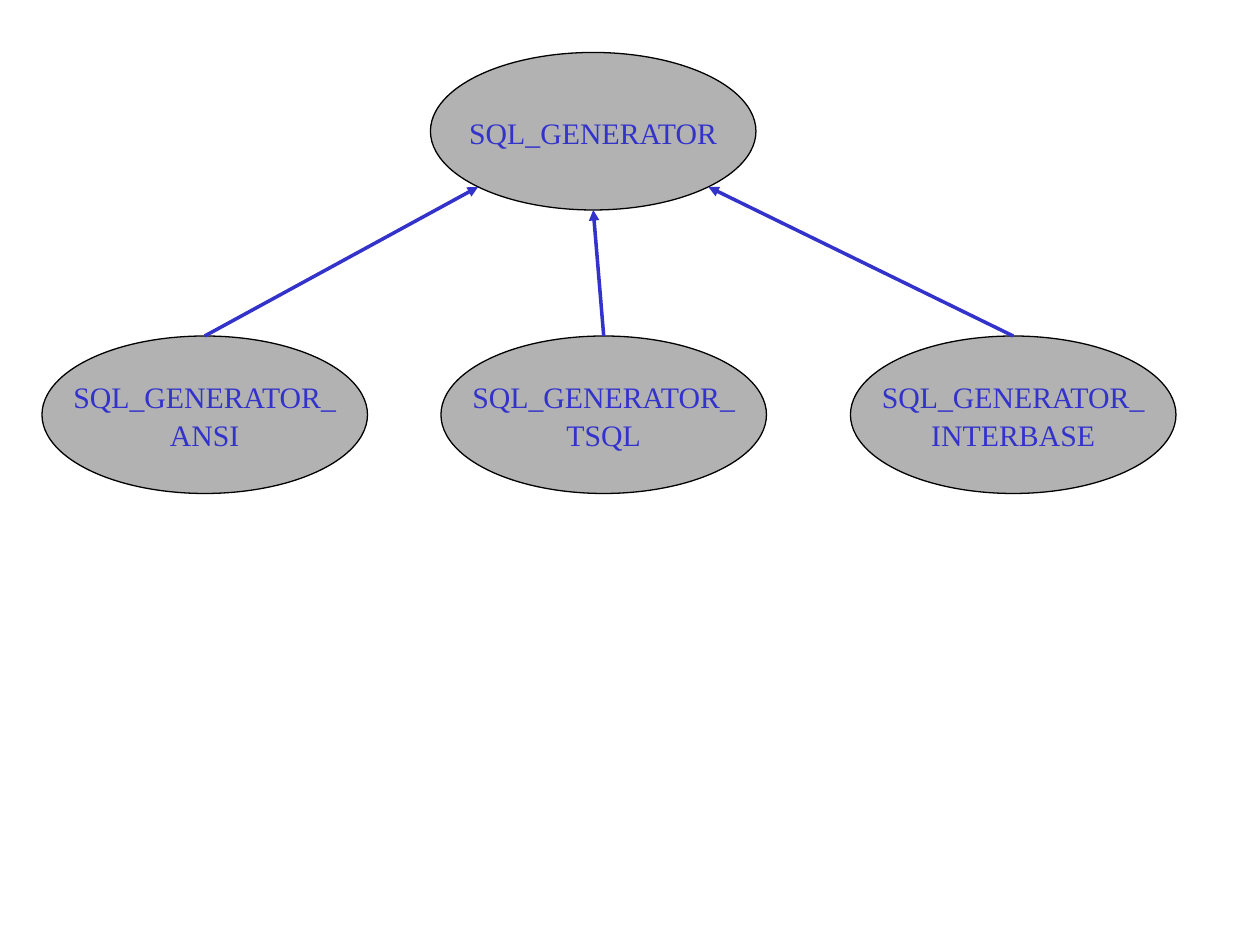
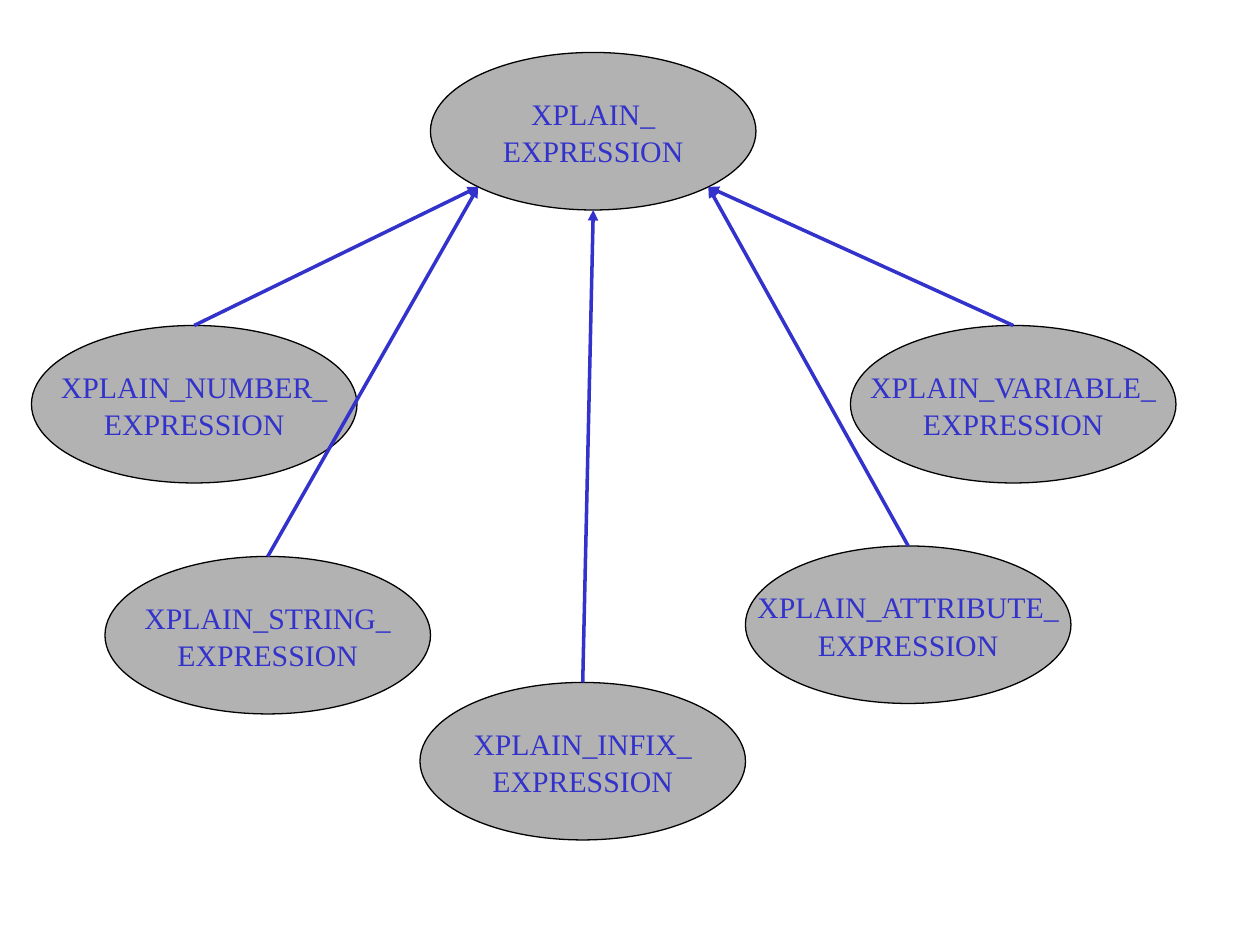
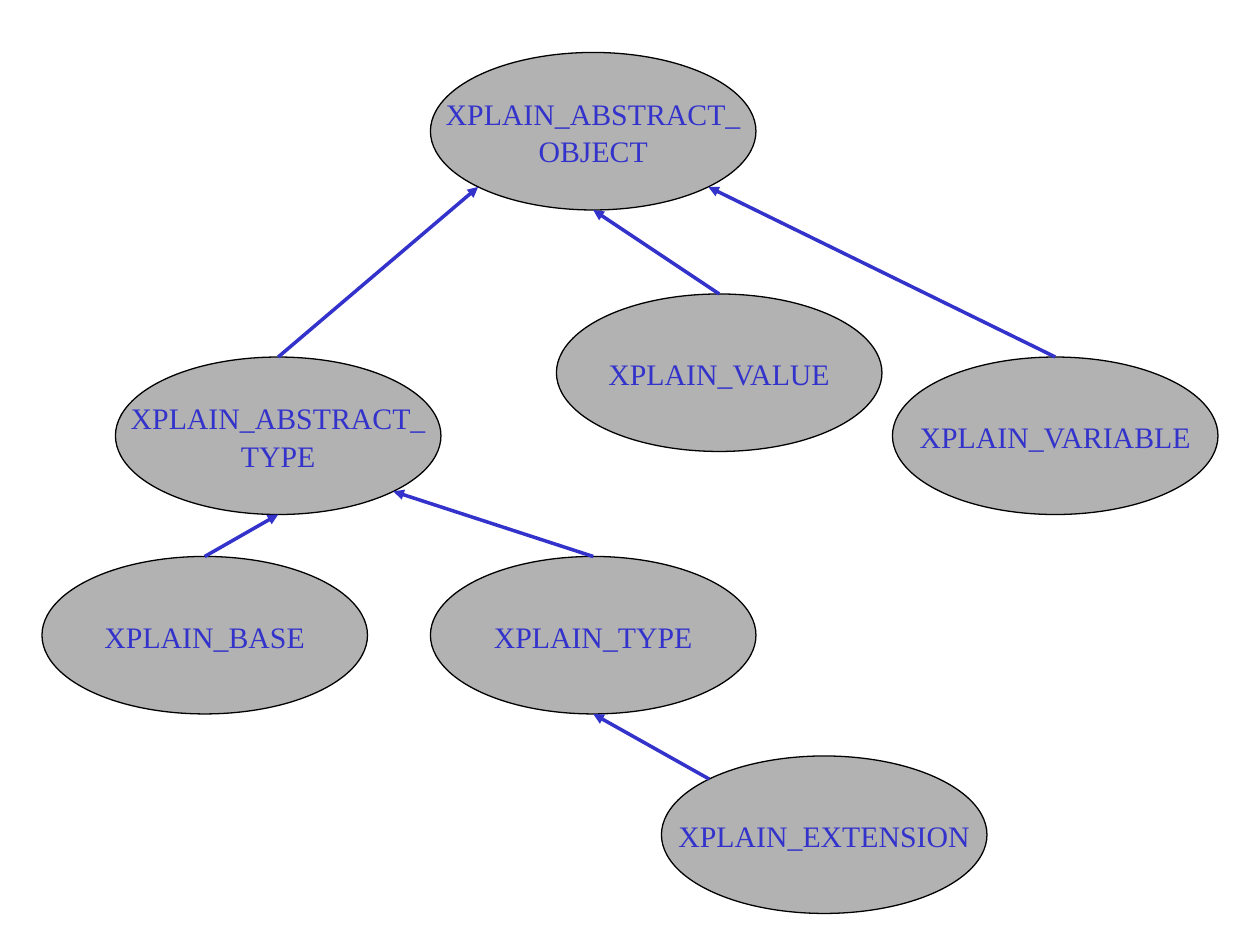
from math import sqrt

from pptx import Presentation
from pptx.dml.color import RGBColor
from pptx.enum.shapes import MSO_CONNECTOR, MSO_SHAPE
from pptx.enum.text import MSO_ANCHOR, PP_ALIGN
from pptx.oxml.ns import qn
from pptx.util import Pt
from lxml import etree

OVAL = MSO_SHAPE.OVAL
STRAIGHT = MSO_CONNECTOR.STRAIGHT
MIDDLE = MSO_ANCHOR.MIDDLE
CENTER = PP_ALIGN.CENTER

PX = 9525
WIDE, HIGH = 248, 120
FONT = "Times New Roman"
GREY, BLUE, BLACK = "B2B2B2", "3333CC", "000000"

# Sites on an oval, as offsets from its centre in half widths and heights
DIAG = 1 / sqrt(2)
SITES = {
    "top": (0, -1),
    "top left": (-DIAG, -DIAG),
    "bottom left": (-DIAG, DIAG),
    "bottom": (0, 1),
    "bottom right": (DIAG, DIAG),
}

# Each tree: classes as name -> (left, top), then links as
# (child, child site, parent, parent site). A space in a name breaks the line.
TREES = [
    (
        {
            "SQL_GENERATOR": (328, 40),
            "SQL_GENERATOR_ ANSI": (32, 256),
            "SQL_GENERATOR_ INTERBASE": (648, 256),
            "SQL_GENERATOR_ TSQL": (336, 256),
        },
        [
            ("SQL_GENERATOR_ ANSI", "top", "SQL_GENERATOR", "bottom left"),
            ("SQL_GENERATOR_ TSQL", "top", "SQL_GENERATOR", "bottom"),
            ("SQL_GENERATOR_ INTERBASE", "top", "SQL_GENERATOR", "bottom right"),
        ],
    ),
    (
        {
            "XPLAIN_ EXPRESSION": (328, 40),
            "XPLAIN_NUMBER_ EXPRESSION": (24, 248),
            "XPLAIN_VARIABLE_ EXPRESSION": (648, 248),
            "XPLAIN_ATTRIBUTE_ EXPRESSION": (568, 416),
            "XPLAIN_STRING_ EXPRESSION": (80, 424),
            "XPLAIN_INFIX_ EXPRESSION": (320, 520),
        },
        [
            ("XPLAIN_NUMBER_ EXPRESSION", "top", "XPLAIN_ EXPRESSION", "bottom left"),
            ("XPLAIN_ATTRIBUTE_ EXPRESSION", "top", "XPLAIN_ EXPRESSION", "bottom right"),
            ("XPLAIN_VARIABLE_ EXPRESSION", "top", "XPLAIN_ EXPRESSION", "bottom right"),
            ("XPLAIN_STRING_ EXPRESSION", "top", "XPLAIN_ EXPRESSION", "bottom left"),
            ("XPLAIN_INFIX_ EXPRESSION", "top", "XPLAIN_ EXPRESSION", "bottom"),
        ],
    ),
    (
        {
            "XPLAIN_ABSTRACT_ OBJECT": (328, 40),
            "XPLAIN_ABSTRACT_ TYPE": (88, 272),
            "XPLAIN_VARIABLE": (680, 272),
            "XPLAIN_VALUE": (424, 224),
            "XPLAIN_BASE": (32, 424),
            "XPLAIN_TYPE": (328, 424),
            "XPLAIN_EXTENSION": (504, 576),
        },
        [
            ("XPLAIN_ABSTRACT_ TYPE", "top", "XPLAIN_ABSTRACT_ OBJECT", "bottom left"),
            ("XPLAIN_VALUE", "top", "XPLAIN_ABSTRACT_ OBJECT", "bottom"),
            ("XPLAIN_VARIABLE", "top", "XPLAIN_ABSTRACT_ OBJECT", "bottom right"),
            ("XPLAIN_BASE", "top", "XPLAIN_ABSTRACT_ TYPE", "bottom"),
            ("XPLAIN_TYPE", "top", "XPLAIN_ABSTRACT_ TYPE", "bottom right"),
            ("XPLAIN_EXTENSION", "top left", "XPLAIN_TYPE", "bottom"),
        ],
    ),
]


def paint(color, code):
    color.rgb = RGBColor.from_string(code)


def point(spot, site):
    """Return the EMU position of a site on the oval placed at spot."""
    (left, top), (across, down) = spot, SITES[site]
    return (
        round((left + WIDE / 2 * (1 + across)) * PX),
        round((top + HIGH / 2 * (1 + down)) * PX),
    )


deck = Presentation()
deck.slide_width, deck.slide_height = 960 * PX, 720 * PX

for nodes, links in TREES:
    slide = deck.slides.add_slide(deck.slide_layouts[6])

    for name, (left, top) in nodes.items():
        oval = slide.shapes.add_shape(OVAL, left * PX, top * PX, WIDE * PX, HIGH * PX)
        oval.shadow.inherit = False
        oval.fill.solid()
        paint(oval.fill.fore_color, GREY)
        paint(oval.line.color, BLACK)
        oval.line.width = Pt(0.75)
        frame = oval.text_frame
        frame.word_wrap = False
        frame.vertical_anchor = MIDDLE
        for row, text in enumerate(name.split()):
            para = frame.add_paragraph() if row else frame.paragraphs[0]
            para.alignment = CENTER
            para.line_spacing = 1.05
            run = para.add_run()
            run.text = text
            run.font.name = FONT
            run.font.size = Pt(17)
            paint(run.font.color, BLUE)

    for child, start, parent, end in links:
        arrow = slide.shapes.add_connector(
            STRAIGHT, *point(nodes[child], start), *point(nodes[parent], end)
        )
        paint(arrow.line.color, BLUE)
        arrow.line.width = Pt(2)
        etree.SubElement(arrow.line._get_or_add_ln(), qn("a:tailEnd"), type="triangle")
        etree.SubElement(arrow._element.spPr, qn("a:effectLst"))

deck.save("out.pptx")
